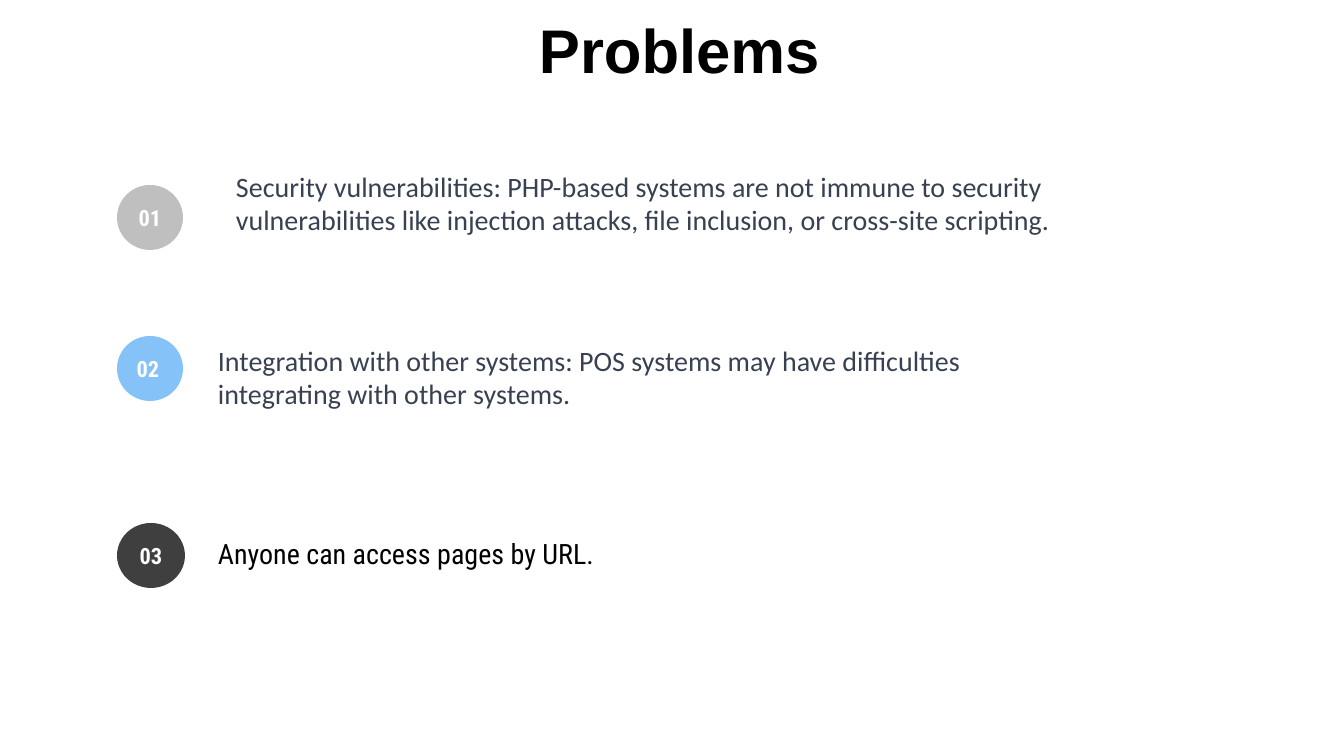
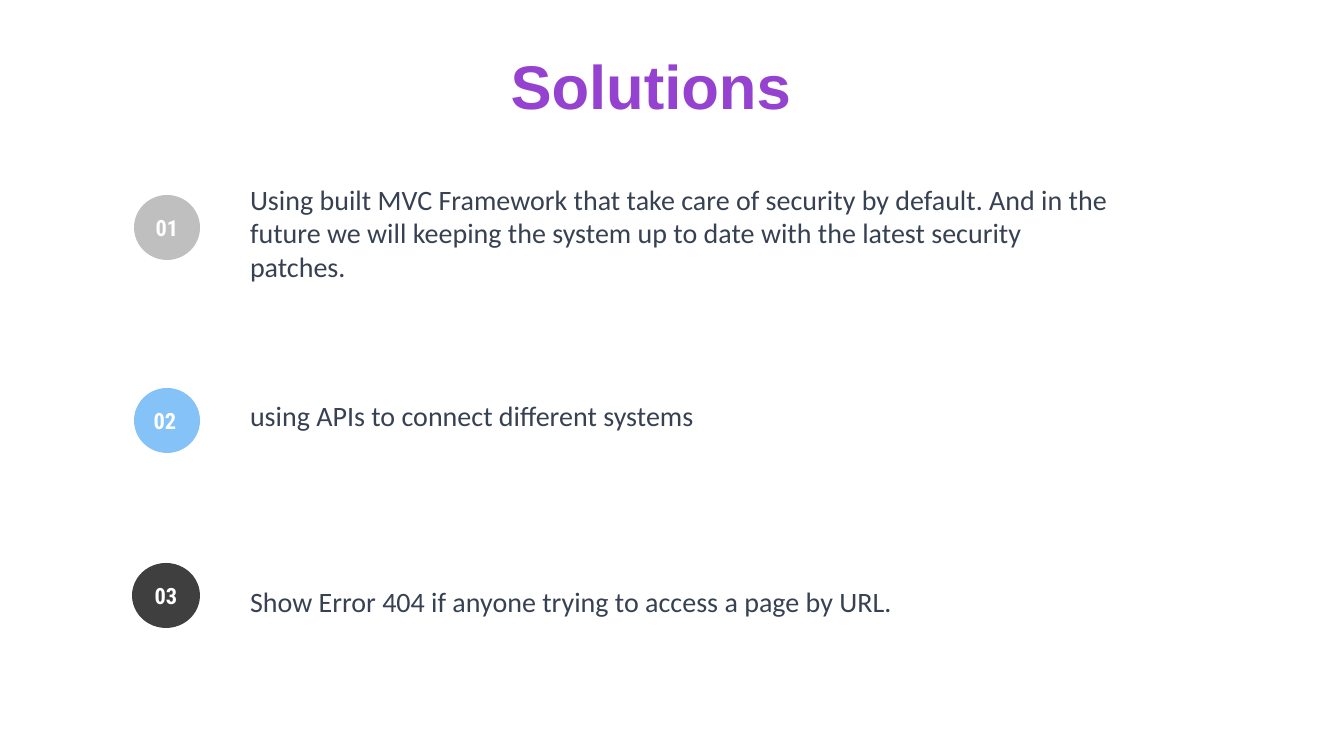
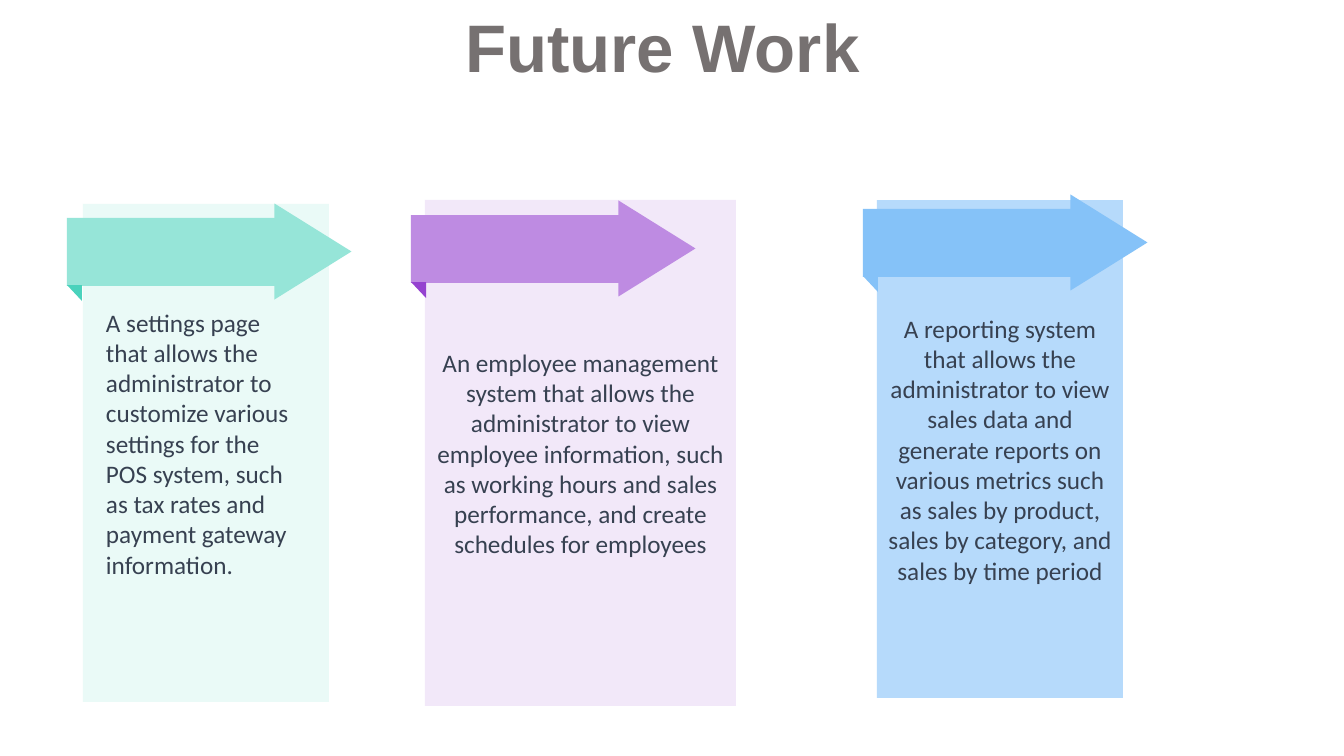
from dataclasses import dataclass

from pptx import Presentation
from pptx.dml.color import RGBColor
from pptx.enum.shapes import MSO_SHAPE as SHAPE
from pptx.enum.text import MSO_ANCHOR as ANCHOR, MSO_AUTO_SIZE as FIT, PP_ALIGN as ALIGN
from pptx.util import Emu, Pt

PX = 914400 / 100.8


@dataclass(frozen=True)
class Theme:
    black: str = "000000"
    white: str = "FFFFFF"
    ink: str = "374151"
    gray: str = "767171"
    silver: str = "BFBFBF"
    charcoal: str = "3F3F3F"
    blue: str = "85C2F8"
    pale_blue: str = "B6DAFB"
    violet: str = "9542D0"
    lilac: str = "BE8BE2"
    pale_lilac: str = "F2E8F9"
    teal: str = "4AD2BC"
    mint: str = "96E5D8"
    pale_mint: str = "EAFAF7"
    title_font: str = "Arial"
    body_font: str = "Calibri"
    label_font: str = "Roboto Condensed"
    big_title: int = 48
    title: int = 44
    item: int = 20
    card: int = 18
    badge: int = 16


class Deck:
    WIDE = (10, 10, 10, 10)
    NORMAL = (10, 5, 10, 5)

    def __init__(self, theme):
        self.t = theme
        self.prs = Presentation()
        self.prs.slide_width, self.prs.slide_height = self.px(1344, 756)
        self.slide = None

    def px(self, *lengths):
        return [Emu(round(n * PX)) for n in lengths]

    def set_text(self, sp, text, font, size, color, bold=False, align=ALIGN.LEFT,
                 anchor=ANCHOR.TOP, insets=NORMAL, spacing=1.0):
        tf = sp.text_frame
        tf.text = text
        tf.word_wrap = True
        tf.auto_size = FIT.NONE
        tf.vertical_anchor = anchor
        tf.margin_left, tf.margin_top, tf.margin_right, tf.margin_bottom = self.px(*insets)
        p = tf.paragraphs[0]
        p.alignment = align
        p.line_spacing = spacing
        r = p.runs[0]
        r.font.name = font
        r.font.size = Pt(size)
        r.font.bold = bold
        r.font.color.rgb = RGBColor.from_string(color)

    def titled_slide(self, text, box, color, size=None, **style):
        self.slide = self.prs.slides.add_slide(self.prs.slide_layouts[5])
        sp = self.slide.shapes.title
        sp.left, sp.top, sp.width, sp.height = self.px(*box)
        self.set_text(sp, text, self.t.title_font, size or self.t.title, color,
                      bold=True, align=ALIGN.CENTER, **style)

    def shape(self, kind, box, fill, rotation=0):
        sp = self.slide.shapes.add_shape(kind, *self.px(*box))
        sp.shadow.inherit = False
        sp.fill.solid()
        sp.fill.fore_color.rgb = RGBColor.from_string(fill)
        sp.line.fill.background()
        sp.rotation = rotation
        return sp

    def text(self, text, box, size, font=None, color=None, insets=NORMAL):
        sp = self.slide.shapes.add_textbox(*self.px(*box))
        self.set_text(sp, text, font or self.t.body_font, size, color or self.t.ink,
                      insets=insets)

    def badge(self, label, box, fill, align):
        sp = self.shape(SHAPE.OVAL, box, fill)
        self.set_text(sp, label, self.t.label_font, self.t.badge, self.t.white, bold=True,
                      align=align, anchor=ANCHOR.MIDDLE, insets=self.WIDE)

    def numbered_list(self, rows):
        styles = [(self.t.silver, 66, ALIGN.CENTER), (self.t.blue, 66, ALIGN.LEFT),
                  (self.t.charcoal, 68, ALIGN.CENTER)]
        for n, (row, style) in enumerate(zip(rows, styles), 1):
            (x, y), text, box, *look = row
            fill, width, align = style
            self.badge(f"{n:02}", (x, y, width, 65), fill, align)
            self.text(text, box, self.t.item, *look, insets=self.WIDE)

    def card(self, box, fill, text=None):
        sp = self.shape(SHAPE.RECTANGLE, box, fill)
        if text:
            self.set_text(sp, text, self.t.body_font, self.t.card, self.t.ink,
                          align=ALIGN.CENTER, anchor=ANCHOR.MIDDLE)

    def ribbon_arrow(self, x, y, fill, fold):
        self.shape(SHAPE.RECTANGLE, (x, y, 209, 68), fill)
        self.shape(SHAPE.RIGHT_TRIANGLE, (x, y + 67, 15, 16), fold, 180)
        self.shape(SHAPE.ISOSCELES_TRIANGLE, (x + 198, y - 5, 96, 77), fill, 90)


def problems(d):
    d.titled_slide("Problems", (226, 22, 907, 128), d.t.black, anchor=ANCHOR.MIDDLE,
                   insets=(10, 10, 10, 74), spacing=0.9)
    d.numbered_list([
        ((117, 185), "Security vulnerabilities: PHP-based systems are not immune to security "
         "vulnerabilities like injection attacks, file inclusion, or cross-site scripting.",
         (226, 159, 991, 108)),
        ((117, 336), "Integration with other systems: POS systems may have difficulties "
         "integrating with other systems.", (208, 333, 838, 91)),
        ((117, 523), "Anyone can access pages by URL.", (208, 526, 606, 141),
         d.t.label_font, d.t.black),
    ])


def solutions(d):
    d.titled_slide("Solutions", (66, 35, 1170, 109), d.t.violet, anchor=ANCHOR.MIDDLE,
                   insets=d.WIDE, spacing=0.9)
    d.numbered_list([
        ((134, 195), "Using built MVC Framework that take care of security by default. And in "
         "the future we will keeping the system up to date with the latest security patches.",
         (240, 172, 882, 108)),
        ((134, 388), "using APIs to connect different systems", (240, 388, 882, 108)),
        ((132, 563), "Show Error 404 if anyone trying to access a page by URL.",
         (240, 574, 882, 108)),
    ])


def future_work(d):
    t = d.t
    d.titled_slide("Future Work ", (34, 0, 1276, 80), t.gray, t.big_title)
    d.card((83, 204, 246, 498), t.pale_mint)
    d.ribbon_arrow(67, 218, t.mint, t.teal)
    d.text("A settings page that allows the administrator to customize various settings for "
           "the POS system, such as tax rates and payment gateway information.",
           (96, 302, 209, 340), t.card)
    d.card((425, 200, 311, 506), t.pale_lilac,
           "An employee management system that allows the administrator to view employee "
           "information, such as working hours and sales performance, and create schedules "
           "for employees")
    d.ribbon_arrow(411, 215, t.lilac, t.violet)
    d.card((877, 200, 246, 498), t.pale_blue,
           "A reporting system that allows the administrator to view sales data and generate "
           "reports on various metrics such as sales by product, sales by category, and sales "
           "by time period")
    d.ribbon_arrow(863, 209, t.blue, t.blue)


def main():
    d = Deck(Theme())
    for build in (problems, solutions, future_work):
        build(d)
    d.prs.save("out.pptx")


if __name__ == "__main__":
    main()
